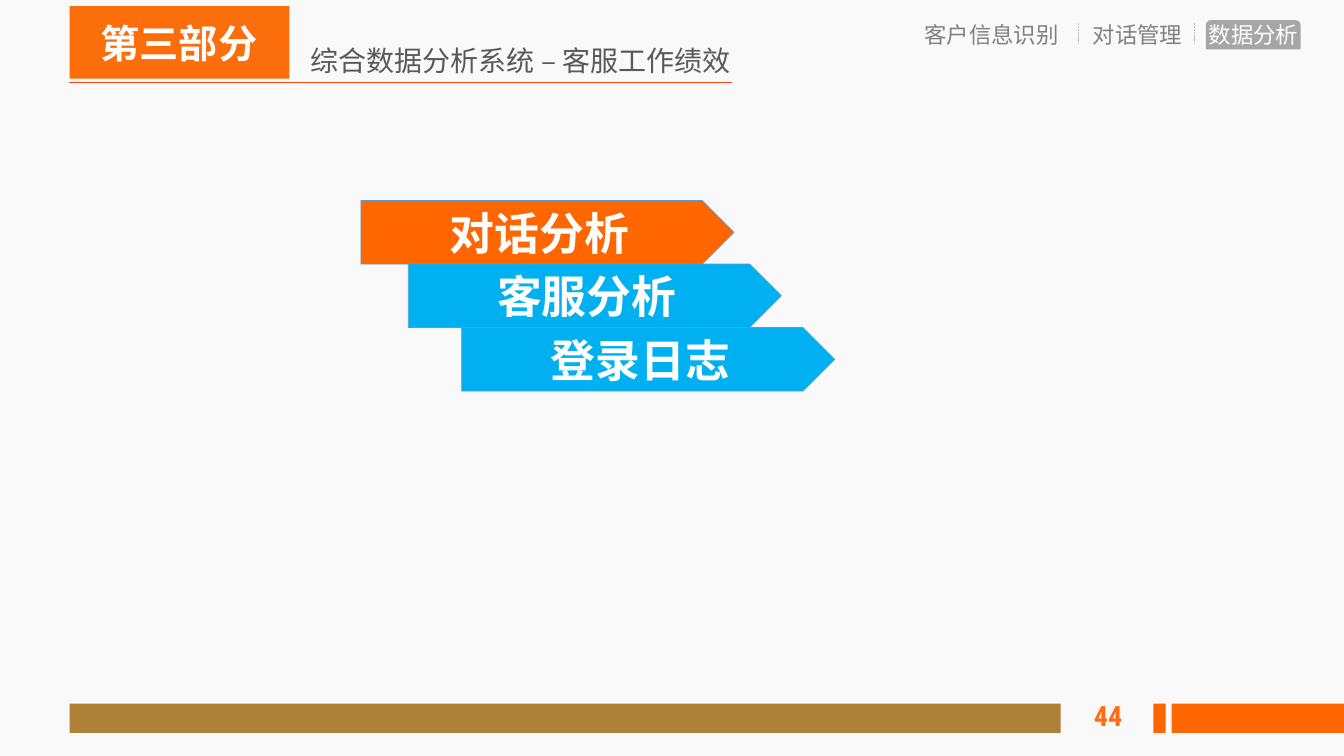
from collections import namedtuple

from lxml import etree
from pptx import Presentation
from pptx.dml.color import RGBColor
from pptx.enum.dml import MSO_LINE
from pptx.enum.shapes import MSO_CONNECTOR, MSO_SHAPE
from pptx.enum.text import MSO_ANCHOR, MSO_AUTO_SIZE, PP_ALIGN
from pptx.oxml.ns import qn
from pptx.util import Inches, Pt

Box = namedtuple("Box", "left top width height")

RECTANGLE = MSO_SHAPE.RECTANGLE
TAB = MSO_SHAPE.ROUND_2_SAME_RECTANGLE
ARROW_PLATE = MSO_SHAPE.PENTAGON
STRAIGHT = MSO_CONNECTOR.STRAIGHT
DASH = MSO_LINE.SQUARE_DOT
LEFT, CENTER, RIGHT = PP_ALIGN.LEFT, PP_ALIGN.CENTER, PP_ALIGN.RIGHT
TOP, MIDDLE = MSO_ANCHOR.TOP, MSO_ANCHOR.MIDDLE
NO_FIT = MSO_AUTO_SIZE.NONE

PAPER = RGBColor(0xF9, 0xF9, 0xF9)
WHITE = RGBColor(0xFF, 0xFF, 0xFF)
DARK_GRAY = RGBColor(0x59, 0x59, 0x59)
MID_GRAY = RGBColor(0x80, 0x80, 0x80)
TAB_GRAY = RGBColor(0xA6, 0xA6, 0xA6)
RULE_GRAY = RGBColor(0xBF, 0xBF, 0xBF)
ORANGE = RGBColor(0xFF, 0x66, 0x00)
BADGE_ORANGE = RGBColor(0xFC, 0x6D, 0x0C)
NUMBER_ORANGE = RGBColor(0xFF, 0x6C, 0x11)
RED = RGBColor(0xFF, 0x44, 0x09)
GOLD = RGBColor(0xAF, 0x81, 0x36)
SKY = RGBColor(0x00, 0xB0, 0xF0)
EDGE_BLUE = RGBColor(0x5B, 0x9B, 0xD5)

CJK = "Noto Sans CJK SC"
LATIN = "Arial"
NUMERALS = "Roboto Condensed"

SLIDE = Box(0, 0, 13.33, 7.5)
HEADER = Box(0.69, 0.06, 6.57, 0.76)
NAVIGATION = Box(9.07, 0.16, 3.92, 0.37)
STEPS = Box(3.58, 1.99, 4.7, 1.89)
FOOTER = Box(0.69, 6.98, 12.64, 0.29)


def inside(box, left, top, width, height):
    return Box(box.left + left, box.top + top, width, height)


def emu(box):
    return [Inches(length) for length in box]


def write(frame, text, size, color, font=CJK, bold=False, align=LEFT,
          anchor=TOP, wrap=False):
    frame.auto_size = NO_FIT
    frame.word_wrap = wrap
    frame.vertical_anchor = anchor
    paragraph = frame.paragraphs[0]
    paragraph.alignment = align
    run = paragraph.add_run()
    run.text = text
    run.font.size = Pt(size)
    run.font.bold = bold
    run.font.color.rgb = color
    run.font.name = font
    east_asian = etree.SubElement(run.font._element, qn("a:ea"))
    east_asian.set("typeface", CJK)


def add_text(slide, box, text, size, color, **style):
    label = slide.shapes.add_textbox(*emu(box))
    write(label.text_frame, text, size, color, **style)


def add_block(slide, preset, box, fill, edge=None):
    block = slide.shapes.add_shape(preset, *emu(box))
    block.shadow.inherit = False
    block.fill.solid()
    block.fill.fore_color.rgb = fill
    if edge is None:
        block.line.fill.background()
    else:
        block.line.color.rgb = edge
        block.line.width = Pt(0.5)
    return block


def add_rule(slide, box, color, width, dash=None):
    left, top, across, down = emu(box)
    rule = slide.shapes.add_connector(STRAIGHT, left, top, left + across, top + down)
    rule.line.color.rgb = color
    rule.line.width = Pt(width)
    if dash is not None:
        rule.line.dash_style = dash
    etree.SubElement(rule._element.spPr, qn("a:effectLst"))


def build_header(slide, box, part, heading):
    add_block(slide, RECTANGLE, inside(box, 0, 0, 2.18, 0.72), BADGE_ORANGE)
    add_text(slide, inside(box, 0.21, 0.08, 1.77, 0.57), part, 28, WHITE, bold=True)
    add_rule(slide, inside(box, -0.01, box.height, box.width + 0.01, 0), RED, 1)
    title = slide.shapes.title
    title.left, title.top, title.width, title.height = emu(
        inside(box, 2.29, 0.32, 4.44, 0.44))
    write(title.text_frame, heading, 20, DARK_GRAY)


def build_navigation(slide, box, sections, current):
    for text, left, width in sections:
        active = text == current
        if active:
            add_block(slide, TAB, inside(box, left + 0.07, 0.04, 0.94, 0.29), TAB_GRAY)
        add_text(slide, inside(box, left, 0, width, box.height), text, 16,
                 WHITE if active else MID_GRAY)
    for _, left, _ in sections[1:]:
        add_rule(slide, inside(box, left - 0.04, 0.07, 0, 0.2), RULE_GRAY, 0.5, DASH)


def build_steps(slide, box, steps, current):
    height = box.height / len(steps)
    for row, (text, indent) in enumerate(steps):
        plate = add_block(slide, ARROW_PLATE,
                          inside(box, indent, row * height, 3.7, height),
                          ORANGE if text == current else SKY, EDGE_BLUE)
        frame = plate.text_frame
        frame.margin_left = frame.margin_right = 0
        frame.margin_top = frame.margin_bottom = 0
        write(frame, text, 32, WHITE, font=LATIN, bold=True,
              align=CENTER, anchor=MIDDLE, wrap=True)


def build_footer(slide, box, number):
    bars = [(0, 9.83, GOLD), (10.75, 0.12, ORANGE), (10.93, box.width - 10.93, ORANGE)]
    for left, width, color in bars:
        add_block(slide, RECTANGLE, inside(box, left, 0, width, box.height), color)
    add_text(slide, inside(box, 7.54, -0.08, 3, 0.4), number, 20, NUMBER_ORANGE,
             font=NUMERALS, bold=True, align=RIGHT, anchor=MIDDLE, wrap=True)


def main():
    deck = Presentation()
    deck.slide_width, deck.slide_height = Inches(SLIDE.width), Inches(SLIDE.height)
    slide = deck.slides.add_slide(deck.slide_layouts[5])
    slide.background.fill.solid()
    slide.background.fill.fore_color.rgb = PAPER
    build_header(slide, HEADER, "第三部分", "综合数据分析系统 – 客服工作绩效")
    build_navigation(
        slide, NAVIGATION,
        [("客户信息识别", 0, 1.55), ("对话管理", 1.67, 1.1), ("数据分析", 2.82, 1.1)],
        "数据分析")
    build_steps(slide, STEPS,
                [("对话分析", 0), ("客服分析", 0.47), ("登录日志", 1)], "对话分析")
    build_footer(slide, FOOTER, "44")
    deck.save("out.pptx")


if __name__ == "__main__":
    main()
